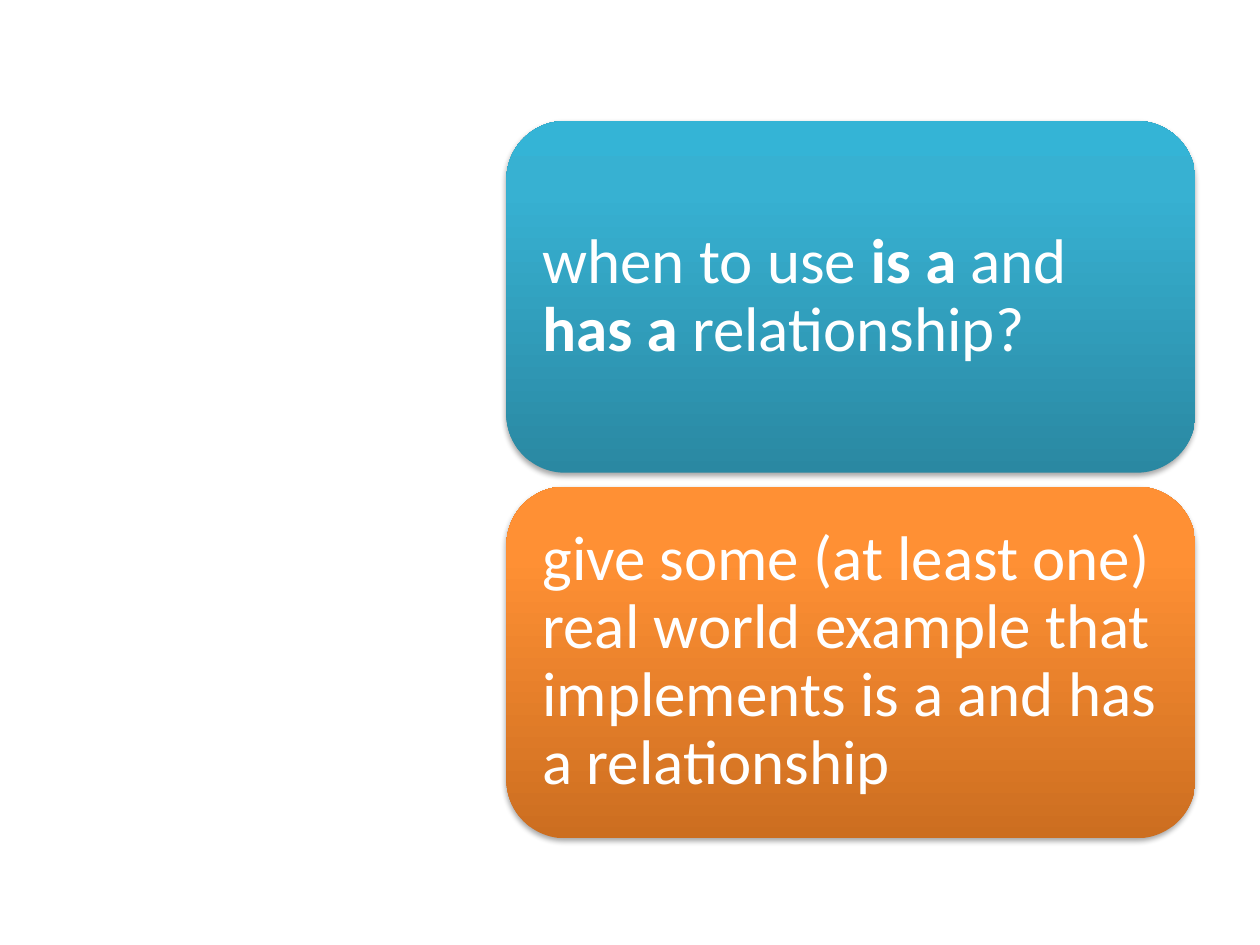
import copy

import lxml.etree
import pptx
import pptx.dml.color
import pptx.enum.shapes
import pptx.enum.text
import pptx.oxml.ns
import pptx.util

Cm = pptx.util.Cm
Pt = pptx.util.Pt
RGBColor = pptx.dml.color.RGBColor
qn = pptx.oxml.ns.qn

WHITE = RGBColor(0xFF, 0xFF, 0xFF)
BLUES = [RGBColor(0x2A, 0x88, 0xA2), RGBColor(0x37, 0xB1, 0xD2), RGBColor(0x34, 0xB4, 0xD6)]
ORANGES = [RGBColor(0xCC, 0x6E, 0x20), RGBColor(0xFF, 0x90, 0x34), RGBColor(0xFF, 0x91, 0x36)]
STOPS = [0, 0.8, 1]

LEFT, TOP = 10.21, 2.44
WIDTH, HEIGHT, GAP = 13.89, 7.09, 0.28

CARDS = [
    (BLUES, [("when to use ", False), ("is a ", True), ("and ", False),
             ("has a ", True), ("relationship?", False)]),
    (ORANGES, [("give some (at least one) real world example that "
                "implements is a and has a relationship", False)]),
]


def shade(card, tones):
    card.fill.gradient()
    card.fill.gradient_angle = 90
    stops = card.element.spPr.find(".//" + qn("a:gsLst"))
    stops.append(copy.deepcopy(stops[-1]))
    for stop, spot, tone in zip(card.fill.gradient_stops, STOPS, tones):
        stop.position = spot
        stop.color.rgb = tone


def add_shadow(card):
    card.shadow.inherit = False
    glow = card.element.spPr.find(qn("a:effectLst"))
    drop = lxml.etree.SubElement(
        glow, qn("a:outerShdw"), blurRad=str(Pt(3.1)), dist=str(Pt(1.8)),
        dir="5400000", rotWithShape="0")
    tone = lxml.etree.SubElement(drop, qn("a:srgbClr"), val="000000")
    lxml.etree.SubElement(tone, qn("a:alpha"), val="35000")


def write(card, parts):
    frame = card.text_frame
    frame.word_wrap = True
    frame.vertical_anchor = pptx.enum.text.MSO_ANCHOR.MIDDLE
    frame.margin_left = frame.margin_right = Cm(0.38)
    frame.margin_top = frame.margin_bottom = Cm(0.38)
    line = frame.paragraphs[0]
    line.alignment = pptx.enum.text.PP_ALIGN.LEFT
    line.line_spacing = 0.9
    for text, bold in parts:
        run = line.add_run()
        run.text = text
        run.font.name = "Calibri"
        run.font.size = Pt(36)
        run.font.bold = bold
        run.font.color.rgb = WHITE


def add_card(slide, top, tones, parts):
    card = slide.shapes.add_shape(
        pptx.enum.shapes.MSO_SHAPE.ROUNDED_RECTANGLE,
        Cm(LEFT), Cm(top), Cm(WIDTH), Cm(HEIGHT))
    card.line.fill.background()
    shade(card, tones)
    add_shadow(card)
    write(card, parts)


def main():
    deck = pptx.Presentation()
    deck.slide_width = Cm(25.4)
    deck.slide_height = Cm(19.05)
    slide = deck.slides.add_slide(deck.slide_layouts[6])
    for row, (tones, parts) in enumerate(CARDS):
        add_card(slide, TOP + row * (HEIGHT + GAP), tones, parts)
    deck.save("out.pptx")


if __name__ == "__main__":
    main()
